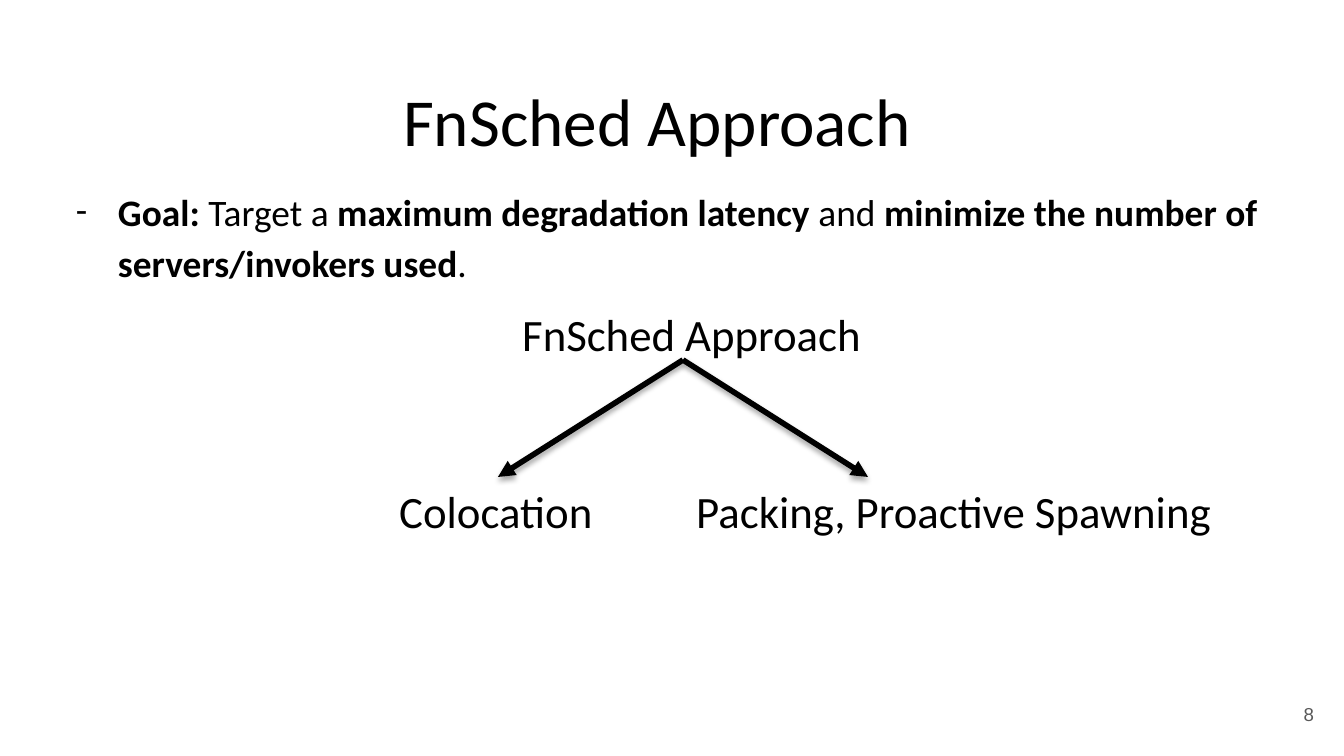
"""Build the FnSched Approach slide with its two-branch diagram."""
from lxml import etree
from pptx import Presentation
from pptx.dml.color import RGBColor
from pptx.enum.shapes import MSO_CONNECTOR
from pptx.enum.text import MSO_ANCHOR, MSO_AUTO_SIZE, PP_ALIGN
from pptx.oxml.ns import qn
from pptx.util import Pt

STRAIGHT = MSO_CONNECTOR.STRAIGHT
TOP, MIDDLE = MSO_ANCHOR.TOP, MSO_ANCHOR.MIDDLE
CENTER, RIGHT = PP_ALIGN.CENTER, PP_ALIGN.RIGHT
NO_FIT, GROW = MSO_AUTO_SIZE.NONE, MSO_AUTO_SIZE.SHAPE_TO_FIT_TEXT
BLACK, GRAY = "000000", "595959"
SCALE = 914400 / 134.4


def px(*lengths):
    return [round(length * SCALE) for length in lengths]


def style(font, size, color=BLACK, name="Calibri", bold=False):
    font.size, font.name, font.bold = Pt(size), name, bold
    font.color.rgb = RGBColor.from_string(color)


prs = Presentation()
prs.slide_width, prs.slide_height = px(1344, 756)
slide = prs.slides.add_slide(prs.slide_layouts[5])

title = slide.shapes.title
title.left, title.top, title.width, title.height = px(46, 66, 1252, 85)
title.text_frame.text = "FnSched Approach\t"
heading = title.text_frame.paragraphs[0]
heading.alignment = CENTER
style(heading.runs[0].font, 36)

goal = slide.shapes.add_textbox(*px(46, 169, 1298, 140))
page = slide.shapes.add_textbox(*px(1246, 685, 81, 58))
for frame, anchor in ((title.text_frame, TOP), (goal.text_frame, TOP), (page.text_frame, MIDDLE)):
    frame.word_wrap = True
    frame.auto_size = NO_FIT
    frame.vertical_anchor = anchor
    frame.margin_left = frame.margin_top = frame.margin_right = frame.margin_bottom = px(13)[0]

goal_line = goal.text_frame.paragraphs[0]
goal_line.line_spacing = 1.15
for words, bold in (
    ("Goal:", True),
    (" Target a ", False),
    ("maximum degradation latency ", True),
    ("and ", False),
    ("minimize the number of servers/invokers used", True),
    (".", False),
):
    run = goal_line.add_run()
    run.text = words
    style(run.font, 20, bold=bold)
props = goal_line._p.get_or_add_pPr()
hanging, indent = px(59, -42)
props.set("marL", str(hanging))
props.set("indent", str(indent))
bullet_color = etree.SubElement(props, qn("a:buClr"))
etree.SubElement(bullet_color, qn("a:srgbClr"), val=BLACK)
etree.SubElement(props, qn("a:buFont"), typeface="Calibri")
etree.SubElement(props, qn("a:buChar"), char="-")

page.text_frame.text = "8"
page_line = page.text_frame.paragraphs[0]
page_line.alignment = RIGHT
style(page_line.runs[0].font, 10, GRAY, "Arial")

ROOT_X, ROOT_Y, BRANCH_Y, SPREAD = 683, 360, 477, 185
root = slide.shapes.add_textbox(*px(509, 300, 370, 99))
labels = [(root, "FnSched Approach")]
for side, left, width, text in (
    (-1, 386, 223, "Colocation"),
    (1, 683, 548, "Packing, Proactive Spawning"),
):
    branch = slide.shapes.add_group_shape()
    arrow = branch.shapes.add_connector(
        STRAIGHT, *px(ROOT_X, ROOT_Y, ROOT_X + side * SPREAD, BRANCH_Y))
    arrow.line.width = Pt(3)
    arrow.line.color.rgb = RGBColor.from_string(BLACK)
    etree.SubElement(arrow.line._get_or_add_ln(), qn("a:tailEnd"), type="triangle")
    effects = etree.SubElement(arrow._element.spPr, qn("a:effectLst"))
    shadow = etree.SubElement(
        effects, qn("a:outerShdw"), blurRad=str(Pt(3.1)), dist=str(Pt(1.8)),
        dir="5400000", rotWithShape="0")
    shade = etree.SubElement(shadow, qn("a:srgbClr"), val=BLACK)
    etree.SubElement(shade, qn("a:alpha"), val="35000")
    labels.append((branch.shapes.add_textbox(*px(left, BRANCH_Y, width, 67)), text))

for label, text in labels:
    label.text_frame.text = text
    label.text_frame.word_wrap = False
    label.text_frame.auto_size = GROW
    style(label.text_frame.paragraphs[0].runs[0].font, 24)

prs.save("out.pptx")
